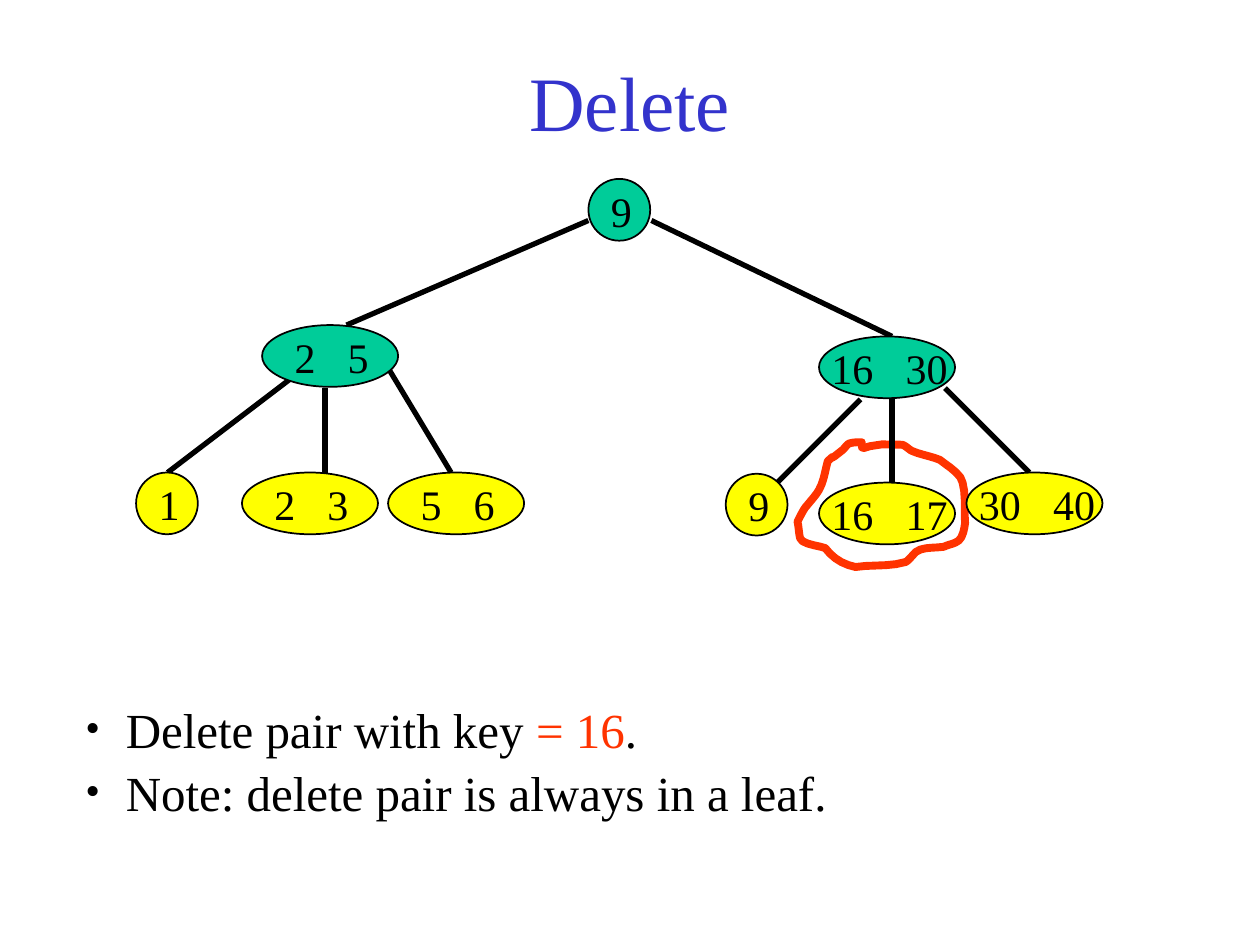
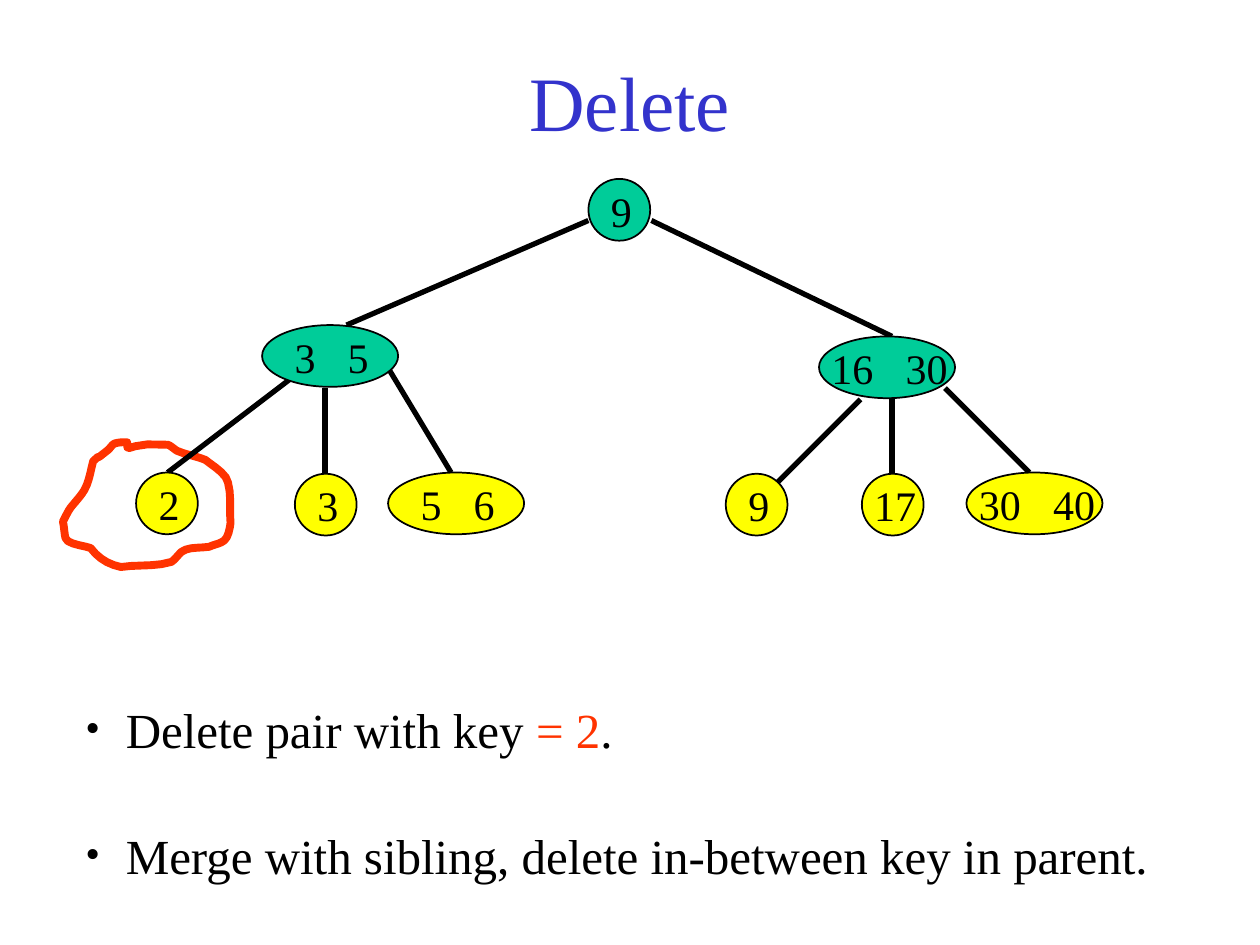
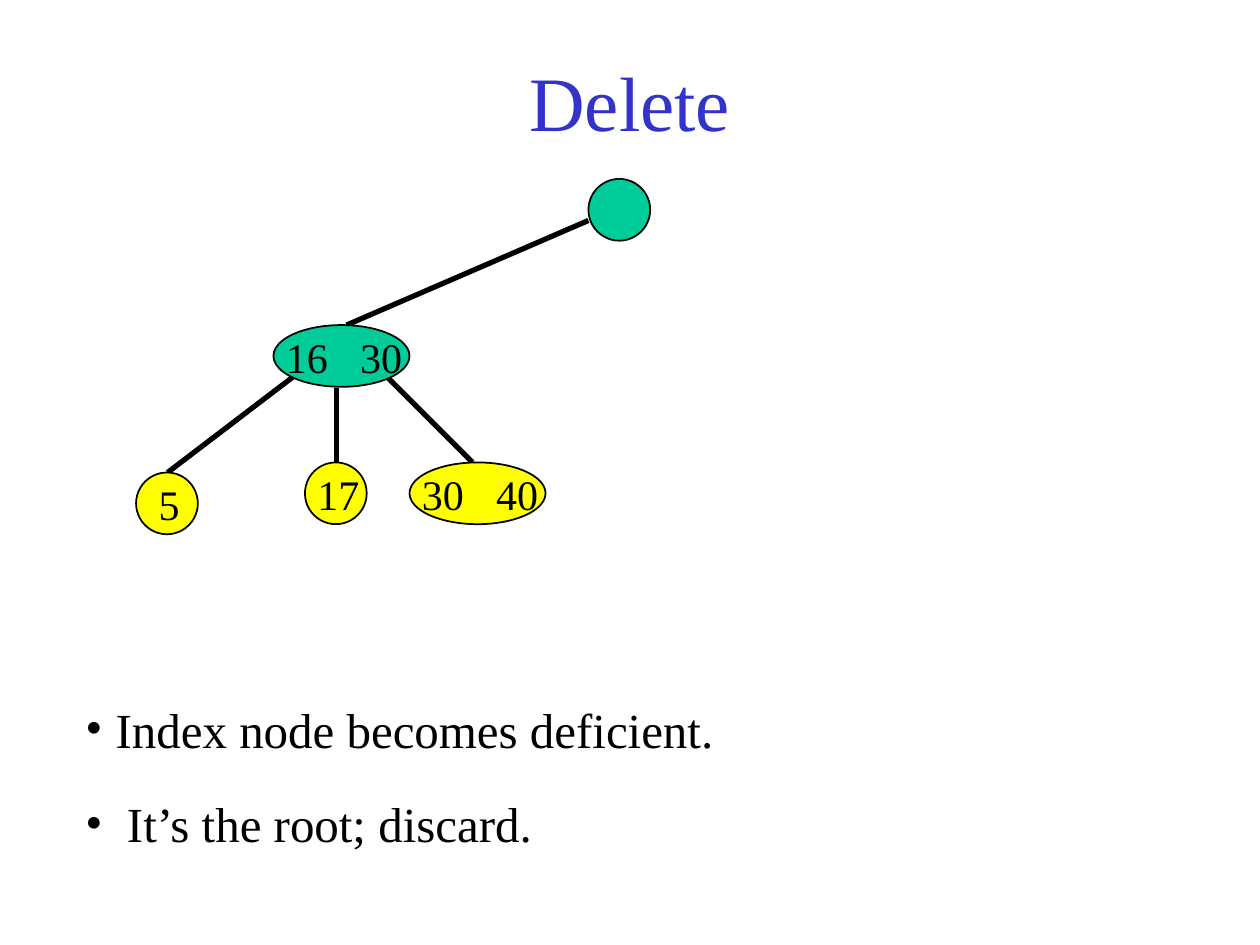
from lxml import etree
from pptx import Presentation
from pptx import util as u
from pptx.dml.color import RGBColor
from pptx.enum import shapes, text
from pptx.oxml.ns import qn

FONT = "Times New Roman"
BLACK, BLUE, RED = "000000", "3333CC", "FF3300"
GREEN, YELLOW = "00CC99", "FFFF00"
NODE_HEIGHT, PAIR_WIDTH, DIGIT, KEY_GAP = 49, 108, 17, 25

LEFT_EDGES = [(359, 33, 167, 116), (134, 150, 25, 233)]
FULL_EDGES = LEFT_EDGES + [
    (150, 166, 150, 233), (200, 150, 250, 233), (409, 33, 600, 125),
    (575, 175, 509, 241), (600, 175, 600, 241), (642, 166, 709, 233),
]
SHORT_EDGES = LEFT_EDGES + [(159, 166, 159, 233), (200, 158, 267, 225)]
SHARED_NODES = [
    (359, 0, "9", GREEN), (542, 125, "16 30", GREEN), (200, 233, "5 6", YELLOW),
    (468, 234, "9", YELLOW), (659, 233, "30 40", YELLOW),
]
RING_START = (51, 1)
RING_CURVES = [
    (48, 1, 44, 1, 41, 2), (39, 3, 38, 5, 36, 7), (20, 20, 34, 7, 24, 16),
    (22, 23, 21, 32, 17, 39), (14, 44, 10, 48, 6, 53), (4, 56, 2, 60, 0, 64),
    (1, 68, 1, 73, 2, 77), (3, 82, 17, 83, 22, 85), (28, 93, 36, 98, 46, 100),
    (59, 98, 73, 100, 86, 96), (89, 94, 91, 91, 94, 88), (99, 84, 109, 85, 116, 84),
    (120, 82, 124, 82, 128, 79), (132, 76, 133, 65, 133, 65), (132, 55, 134, 44, 131, 33),
    (130, 26, 118, 19, 113, 15), (106, 12, 98, 11, 91, 8), (90, 8, 85, 3, 83, 3),
    (50, 0, 51, 12, 51, 1),
]


def px(length):
    """Turn px, 100 to the inch, into EMU."""
    return u.Emu(round(length * 9144))


def color(value):
    """Turn a hex string into a colour."""
    return RGBColor.from_string(value)


def style_span(span, size, ink=BLACK):
    """Set the font of one run."""
    span.font.name = FONT
    span.font.size = u.Pt(size)
    span.font.color.rgb = color(ink)


def add_text(page, left, top, width, height):
    """Add a wrapping text box and return its frame."""
    frame = page.shapes.add_textbox(px(left), px(top), px(width), px(height)).text_frame
    frame.word_wrap = True
    return frame


def add_title(page, left, top, width, height):
    """Add the centred slide title."""
    frame = add_text(page, left, top, width, height)
    frame.vertical_anchor = text.MSO_ANCHOR.MIDDLE
    frame.text = "Delete"
    para = frame.paragraphs[0]
    para.alignment = text.PP_ALIGN.CENTER
    style_span(para.runs[0], 44, BLUE)


def add_bullet(page, left, top, width, spans, indent, bullet_percent):
    """Add one bulleted line made of (words, colour) spans."""
    para = add_text(page, left, top, width, 57).paragraphs[0]
    for words, ink in spans:
        span = para.add_run()
        span.text = words
        style_span(span, 28, ink)
    props = para._p.get_or_add_pPr()
    props.set("marL", str(px(indent)))
    props.set("indent", str(-px(indent)))
    bullet_color = etree.SubElement(props, qn("a:buClr"))
    etree.SubElement(bullet_color, qn("a:srgbClr"), val=BLACK)
    etree.SubElement(props, qn("a:buSzPct"), val=str(bullet_percent * 1000))
    etree.SubElement(props, qn("a:buFont"), typeface=FONT)
    etree.SubElement(props, qn("a:buChar"), char="•")


def add_edge(page, left, top, edge):
    """Draw one tree edge relative to the tree's corner."""
    x1, y1, x2, y2 = edge
    line = page.shapes.add_connector(
        shapes.MSO_CONNECTOR.STRAIGHT,
        px(left + x1), px(top + y1), px(left + x2), px(top + y2))
    line.line.color.rgb = color(BLACK)
    line.line.width = u.Pt(3)
    etree.SubElement(line._element.spPr, qn("a:effectLst"))


def add_node(page, left, top, label, fill):
    """Draw a node: a circle for one key, an ellipse for two."""
    keys = label.split()
    width = PAIR_WIDTH if len(keys) == 2 else NODE_HEIGHT
    oval = page.shapes.add_shape(
        shapes.MSO_SHAPE.OVAL, px(left), px(top), px(width), px(NODE_HEIGHT))
    oval.shadow.inherit = False
    oval.fill.solid()
    oval.fill.fore_color.rgb = color(fill)
    oval.line.color.rgb = color(BLACK)
    oval.line.width = u.Pt(1)
    if not keys:
        return
    digits = len(keys[0])
    shift = 8 * len(keys) * (2 - digits)
    box_width = 42 * len(keys) if digits == 1 else 50 * (len(keys) + 1)
    frame = add_text(page, left + shift, top, box_width, 50)
    frame.text = "\t".join(keys)
    para = frame.paragraphs[0]
    style_span(para.runs[0], 24)
    if len(keys) == 2:
        stops = etree.SubElement(para._p.get_or_add_pPr(), qn("a:tabLst"))
        stop = px(digits * DIGIT + KEY_GAP)
        etree.SubElement(stops, qn("a:tab"), pos=str(stop), algn="l")


def ring_points(steps=5):
    """Sample the cubic curves of the hand-drawn ring."""
    x0, y0 = RING_START
    for x1, y1, x2, y2, x3, y3 in RING_CURVES:
        for step in range(1, steps + 1):
            t = step / steps
            weights = ((1 - t) ** 3, 3 * t * (1 - t) ** 2, 3 * t * t * (1 - t), t ** 3)
            yield (sum(w * x for w, x in zip(weights, (x0, x1, x2, x3))),
                   sum(w * y for w, y in zip(weights, (y0, y1, y2, y3))))
        x0, y0 = x3, y3


def add_ring(page, left, top):
    """Draw the red ring around the leaf that loses a pair."""
    x, y = RING_START
    builder = page.shapes.build_freeform(px(left + x), px(top + y))
    builder.add_line_segments(
        [(px(left + x), px(top + y)) for x, y in ring_points()], close=True)
    ring = builder.convert_to_shape()
    ring.shadow.inherit = False
    ring.fill.background()
    ring.line.color.rgb = color(RED)
    ring.line.width = u.Pt(4.5)


def add_tree(page, left, top, edges, nodes, ring=None):
    """Draw ring, edges and nodes relative to the tree's corner."""
    if ring:
        add_ring(page, left + ring[0], top + ring[1])
    for edge in edges:
        add_edge(page, left, top, edge)
    for x, y, label, fill in nodes:
        add_node(page, left + x, top + y, label, fill)


def add_delete_page(deck, bullets, bullet_percent, edges, nodes, ring=None):
    """Add a slide with title, tree and bullets given as (top, width, indent, spans)."""
    page = deck.slides.add_slide(deck.slide_layouts[6])
    add_title(page, 75, 17, 850, 125)
    add_tree(page, 108, 142, edges, nodes, ring)
    for top, width, indent, spans in bullets:
        add_bullet(page, 58, top, width, spans, indent, bullet_percent)


def key_spans(key):
    """Return the spans of the line that names the deleted key."""
    return [("Delete pair with key ", BLACK), (f"= {key}", RED), (".", BLACK)]


def main():
    """Build the three slides and save the deck."""
    deck = Presentation()
    deck.slide_width, deck.slide_height = px(1000), px(750)
    add_delete_page(
        deck,
        [(550, 667, 32, key_spans(16)),
         (600, 667, 32, [("Note: delete pair is always in a leaf.", BLACK)])],
        86, FULL_EDGES,
        SHARED_NODES + [(100, 116, "2 5", GREEN), (0, 233, "1", YELLOW),
                        (84, 233, "2 3", YELLOW), (542, 241, "16 17", YELLOW)],
        (525, 208))
    add_delete_page(
        deck,
        [(550, 667, 32, key_spans(2)),
         (650, 867, 32, [("Merge with sibling, delete in-between key in parent.", BLACK)])],
        86, FULL_EDGES,
        SHARED_NODES + [(100, 116, "3 5", GREEN), (0, 233, "2", YELLOW),
                        (126, 234, "3", YELLOW), (576, 234, "17", YELLOW)],
        (-58, 208))
    add_delete_page(
        deck,
        [(550, 667, 24, [("Index node becomes deficient.", BLACK)]),
         (625, 867, 33, [("It’s the root; discard.", BLACK)])],
        100, SHORT_EDGES,
        [(359, 0, "", GREEN), (109, 116, "16 30", GREEN), (0, 233, "5", YELLOW),
         (134, 225, "17", YELLOW), (217, 225, "30 40", YELLOW)])
    deck.save("out.pptx")


if __name__ == "__main__":
    main()
